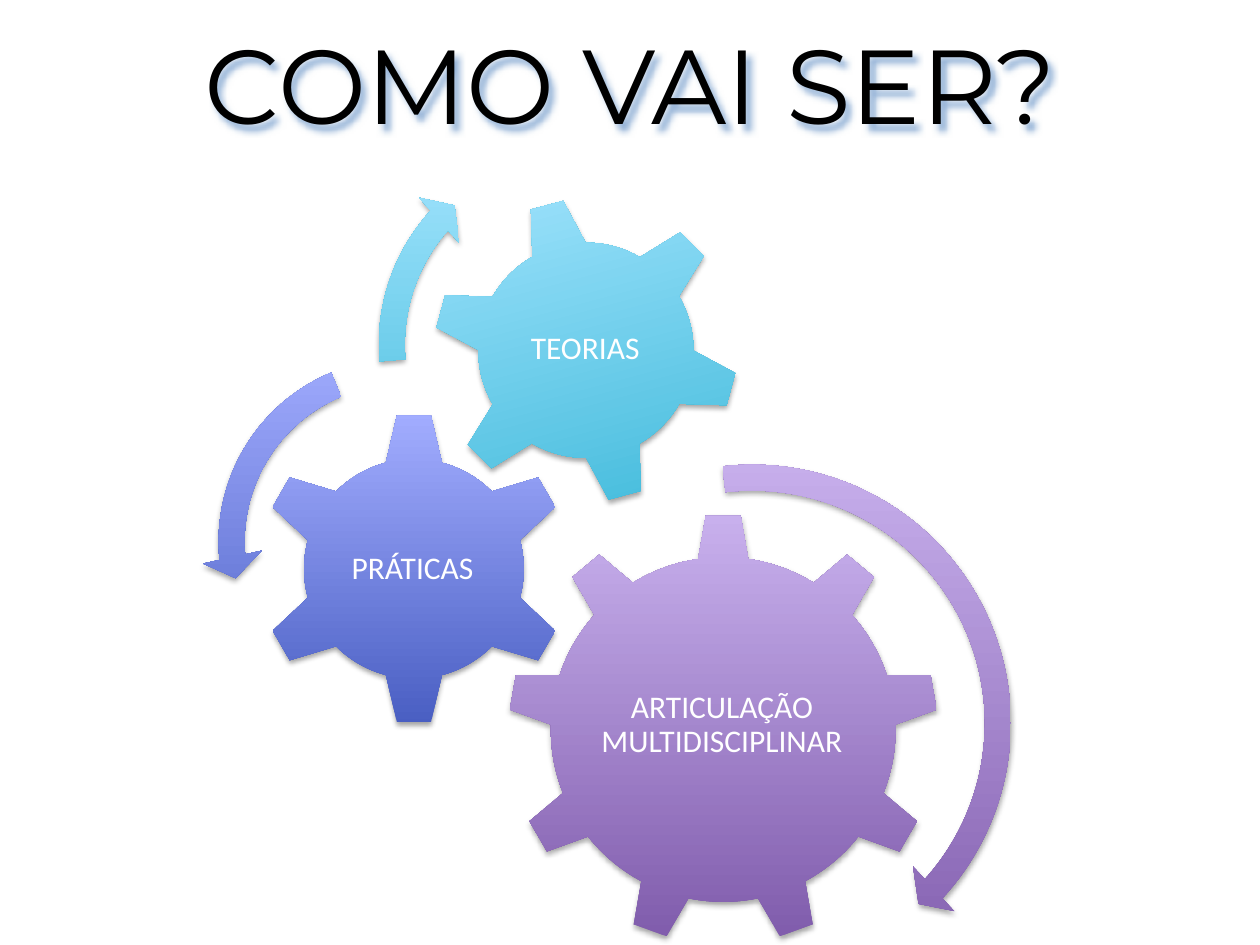
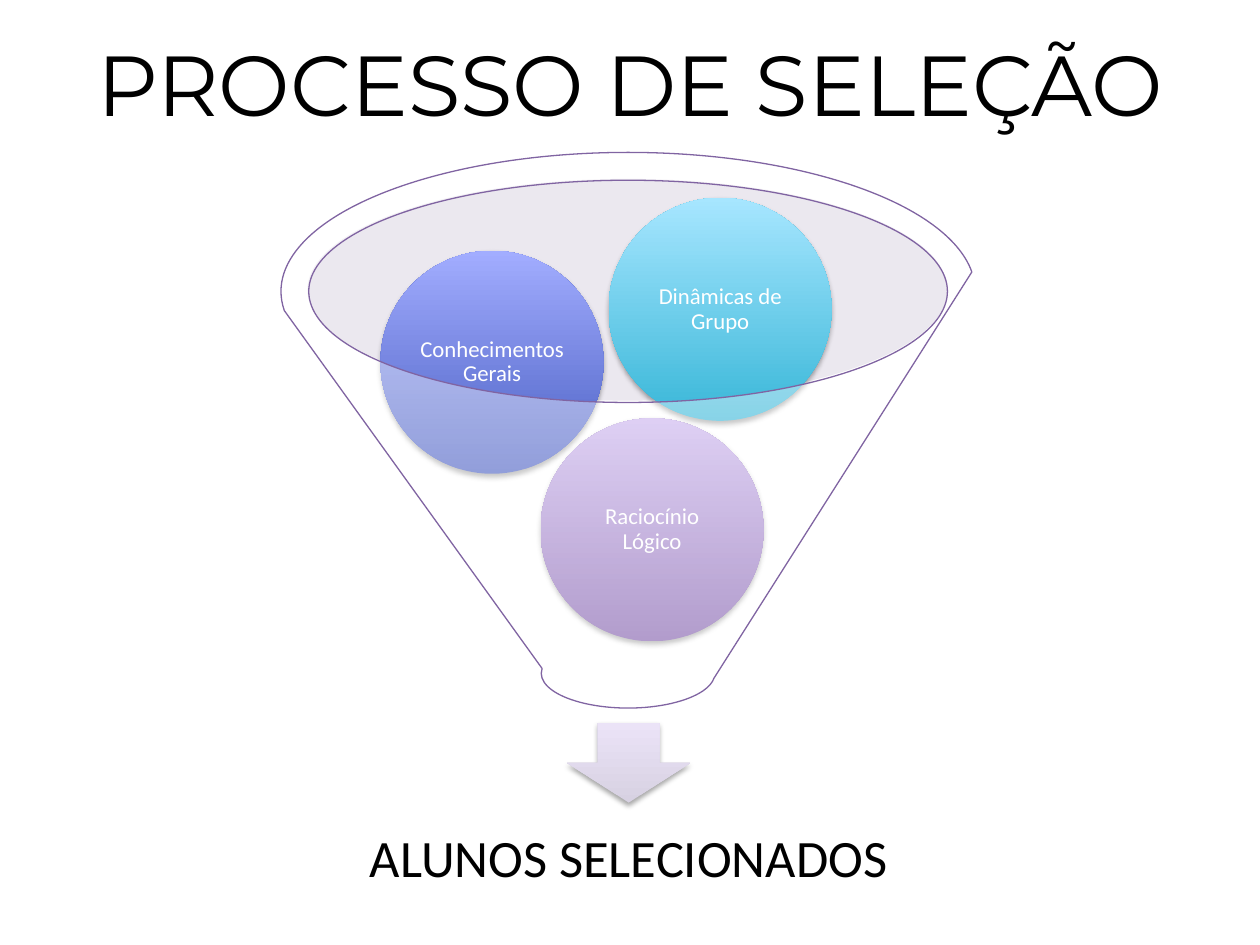
from pptx import Presentation
from pptx.dml import color as dml
from pptx.enum import shapes, text
from pptx.oxml import parse_xml
from pptx.oxml import ns
from pptx.util import Inches, Pt

KIND = shapes.MSO_SHAPE
HUES = {
    "black": "000000", "white": "FFFFFF", "glow": "4F81BD",
    "rim": "8064A2", "mouth": "CDC6D7",
}
# Gradients run from the dark foot to the light top.
FADES = {
    "purple": ("7F5BAB", "C8B0ED"),
    "blue": ("495EC2", "A2ADFF"),
    "cyan": ("39B7D8", "A7E6FF"),
    "pale": ("D7D1E2", "EBE3F7"),
}


def rgb(name):
    """Return a named colour."""
    return dml.RGBColor.from_string(HUES[name])


def cast(shape, hue="black", alpha=35, blur=3.1, dist=1.8, angle=90):
    """Give a shape an outer shadow."""
    shape.shadow.inherit = False
    effects = shape._element.spPr.find(ns.qn("a:effectLst"))
    effects.append(parse_xml(
        f'<a:outerShdw {ns.nsdecls("a")} blurRad="{Pt(blur)}" dist="{Pt(dist)}" '
        f'dir="{angle * 60000}" algn="ctr" rotWithShape="0">'
        f'<a:srgbClr val="{HUES[hue]}"><a:alpha val="{alpha * 1000}"/></a:srgbClr>'
        '</a:outerShdw>'))


def place(slide, kind, box):
    """Add a preset shape without line or shadow."""
    shape = slide.shapes.add_shape(kind, *map(Inches, box))
    shape.shadow.inherit = False
    shape.line.fill.background()
    return shape


def shade(slide, kind, box, fade, turn=0, adjust=()):
    """Add a gradient shape with a shadow; adjust is in percent."""
    shape = place(slide, kind, box)
    shape.rotation = turn
    for index, value in enumerate(adjust):
        shape.adjustments[index] = value / 100
    shape.fill.gradient()
    shape.fill.gradient_angle = 90
    for stop, hue in zip(shape.fill.gradient_stops, FADES[fade]):
        stop.color.rgb = dml.RGBColor.from_string(hue)
    cast(shape)


def veil(slide, kind, box, hue):
    """Add a shape with a 40 % opaque fill."""
    shape = place(slide, kind, box)
    shape.fill.solid()
    shape.fill.fore_color.rgb = rgb(hue)
    tint = shape._element.spPr.find(ns.qn("a:solidFill"))[0]
    tint.append(parse_xml(f'<a:alpha {ns.nsdecls("a")} val="40000"/>'))
    return shape


def style(frame, words, size, face, hue):
    """Write one centred paragraph in a text frame."""
    frame.text = words
    frame.word_wrap = True
    frame.auto_size = text.MSO_AUTO_SIZE.NONE
    frame.vertical_anchor = text.MSO_ANCHOR.MIDDLE
    line = frame.paragraphs[0]
    line.alignment = text.PP_ALIGN.CENTER
    line.font.size = Pt(size)
    line.font.name = face
    line.font.color.rgb = rgb(hue)
    return line


def label(slide, words, box, size, inset, hue="white"):
    """Add a text box with equal insets."""
    frame = slide.shapes.add_textbox(*map(Inches, box)).text_frame
    style(frame, words, size, "Calibri", hue).line_spacing = 0.9
    frame.margin_left = frame.margin_right = Inches(inset)
    frame.margin_top = frame.margin_bottom = Inches(inset)


def start(deck, words, size, left):
    """Add a slide with a centred title."""
    slide = deck.slides.add_slide(deck.slide_layouts[5])
    title = slide.shapes.title
    title.left, title.top = Inches(left), Inches(0.03)
    title.width, title.height = Inches(10 - 2 * left), Inches(1.25)
    style(title.text_frame, words, size, "Montserrat", "black")
    return slide


def gears(deck):
    """Build the slide of three gears and their turning arrows."""
    slide = start(deck, "COMO VAI SER?", 60, 0.5)
    cast(slide.shapes.title, "glow", 60, 4, 4, 45)
    wheels = [
        ("ARTICULAÇÃO MULTIDISCIPLINAR", KIND.GEAR_9, (4.03, 4.08, 3.42, 3.42),
         "purple", 0, (4.71, 4.88, 2.04, 1.76)),
        ("PRÁTICAS", KIND.GEAR_6, (2.04, 3.27, 2.49, 2.49),
         "blue", 0, (2.66, 3.9, 1.23, 1.23)),
        ("TEORIAS", KIND.GEAR_6, (3.43, 1.56, 2.44, 2.44),
         "cyan", 345, (3.96, 2.09, 1.37, 1.37)),
    ]
    for words, kind, box, fade, turn, area in wheels:
        shade(slide, kind, box, fade, turn)
        label(slide, words, area, 18, 0.03)
    arrows = [
        (KIND.CIRCULAR_ARROW, (3.78, 3.55, 4.38, 4.38), "purple",
         (4.7, 299, 2543.1, 15804.4, 5.5)),
        (KIND.LEFT_CIRCULAR_ARROW, (1.6, 2.71, 3.18, 3.18), "blue",
         (6.5, 430, 10489.1, 14837.8, 7.5)),
        (KIND.CIRCULAR_ARROW, (2.87, 1.02, 3.43, 3.43), "cyan",
         (6, 394.1, 13313.8, 10508.2, 7)),
    ]
    for kind, box, fade, adjust in arrows:
        shade(slide, kind, box, fade, adjust=adjust)


def funnel(deck):
    """Build the slide of the selection funnel."""
    slide = start(deck, "PROCESSO DE SELEÇÃO", 48.6, 0.25)
    veil(slide, KIND.OVAL, (2.44, 1.42, 5.08, 1.76), "mouth")
    shade(slide, KIND.DOWN_ARROW, (4.5, 5.74, 0.98, 0.63), "pale")
    label(slide, "ALUNOS SELECIONADOS", (2.63, 6.24, 4.72, 1.18), 30, 0.23, "black")
    balls = [
        ("Raciocínio Lógico", 4.29, 3.32, "purple"),
        ("Conhecimentos Gerais", 3.02, 1.99, "blue"),
        ("Dinâmicas de Grupo", 4.83, 1.57, "cyan"),
    ]
    size, gap = 1.77, 0.26
    for words, left, top, fade in balls:
        shade(slide, KIND.OVAL, (left, top, size, size), fade)
        inner = size - 2 * gap
        label(slide, words, (left + gap, top + gap, inner, inner), 13, 0.02)
    cone = veil(slide, KIND.FUNNEL, (2.23, 1.21, 5.51, 4.41), "white")
    cone.line.color.rgb = rgb("rim")
    cone.line.width = Pt(0.75)


def main():
    """Build and save the deck."""
    deck = Presentation()
    deck.slide_width, deck.slide_height = Inches(10), Inches(7.5)
    gears(deck)
    funnel(deck)
    deck.save("out.pptx")


main()
